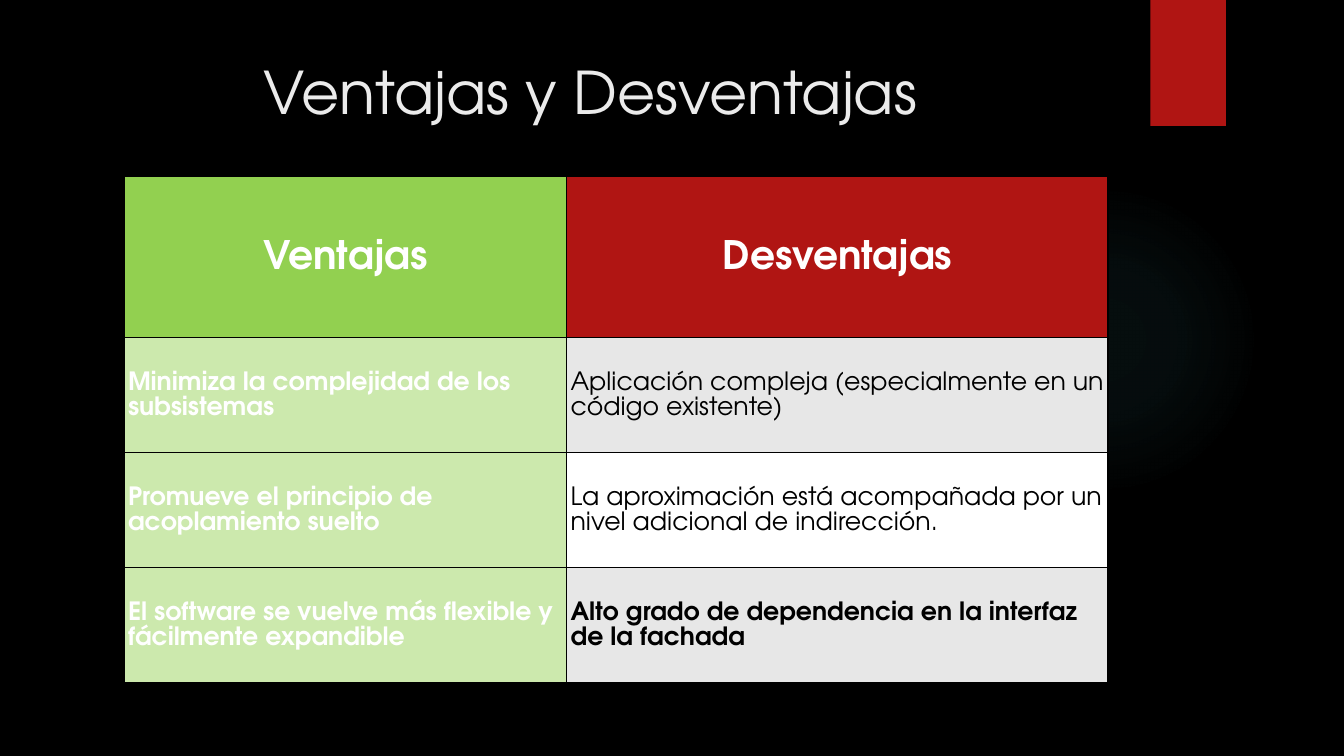
from lxml import etree
from pptx import Presentation
from pptx.dml.color import RGBColor
from pptx.enum.shapes import MSO_SHAPE as Shape
from pptx.enum.text import MSO_ANCHOR as Anchor, PP_ALIGN as Align
from pptx.oxml import parse_xml
from pptx.oxml.ns import nsdecls, qn
from pptx.util import Inches, Pt

BLACK = RGBColor(0x00, 0x00, 0x00)
WHITE = RGBColor(0xFF, 0xFF, 0xFF)
PALE = RGBColor(0xEB, 0xEB, 0xEB)
RED = RGBColor(0xB0, 0x15, 0x13)
GREEN = RGBColor(0x92, 0xD0, 0x50)
LIME = RGBColor(0xCC, 0xE9, 0xAD)
GREY = RGBColor(0xE7, 0xE7, 0xE7)
TEAL = RGBColor(0x50, 0xB9, 0xC1)
FONT = "TeX Gyre Adventor"

HEADS = [("Ventajas", GREEN), ("Desventajas", RED)]
ROWS = [
    ("Minimiza la complejidad de los subsistemas",
     "Aplicación compleja (especialmente en un código existente)"),
    ("Promueve el principio de acoplamiento suelto",
     "La aproximación está acompañada por un nivel adicional de indirección."),
    ("El software se vuelve más flexible y fácilmente expandible",
     "Alto grado de dependencia en la interfaz de la fachada"),
]


def style(para, size, color, bold=False):
    """Format every run of a paragraph."""
    for run in para.runs:
        font = run.font
        font.name, font.size, font.bold = FONT, Pt(size), bold
        font.color.rgb = color


def add_shape(slide, kind, box):
    """Add a preset shape without line or shadow."""
    shape = slide.shapes.add_shape(kind, *map(Inches, box))
    shape.shadow.inherit = False
    shape.line.fill.background()
    return shape


def add_decor(slide, glow, tab):
    """Place the soft round glow and the red tab."""
    halo = add_shape(slide, Shape.OVAL, glow)
    halo.fill.gradient()
    stops = "".join(
        f'<a:gs pos="{pos}000"><a:srgbClr val="{TEAL}">'
        f'<a:alpha val="{alpha}000"/></a:srgbClr></a:gs>'
        for pos, alpha in [(0, 7), (36, 6), (69, 0)])
    grad = parse_xml(
        f'<a:gradFill {nsdecls("a")}><a:gsLst>{stops}</a:gsLst>'
        '<a:path path="circle"><a:fillToRect l="50000" t="50000" '
        'r="50000" b="50000"/></a:path></a:gradFill>')
    props = halo.element.spPr
    props.replace(props.find(qn("a:gradFill")), grad)
    flag = add_shape(slide, Shape.RECTANGLE, tab)
    flag.fill.solid()
    flag.fill.fore_color.rgb = RED


def add_title(slide, box):
    """Place and format the slide title."""
    title = slide.shapes.title
    title.left, title.top, title.width, title.height = map(Inches, box)
    frame = title.text_frame
    frame.text = "Ventajas y Desventajas"
    frame.word_wrap = True
    frame.vertical_anchor = Anchor.TOP
    para = frame.paragraphs[0]
    para.alignment = Align.CENTER
    style(para, 42, PALE)


def add_border(cell):
    """Draw thin black lines on all sides of a cell."""
    props = cell._tc.get_or_add_tcPr()
    for spot, side in enumerate(("lnL", "lnR", "lnT", "lnB")):
        line = etree.Element(qn(f"a:{side}"), w=str(Pt(1)))
        fill = etree.SubElement(line, qn("a:solidFill"))
        etree.SubElement(fill, qn("a:srgbClr"), val=str(BLACK))
        props.insert(spot, line)


def fill_cell(cell, text, back, color, size, bold, pad, align):
    """Write one table cell and set its look."""
    cell.fill.solid()
    cell.fill.fore_color.rgb = back
    cell.vertical_anchor = Anchor.MIDDLE
    cell.margin_left = cell.margin_right = Inches(pad)
    cell.margin_top = cell.margin_bottom = Inches(pad)
    cell.text_frame.text = text
    para = cell.text_frame.paragraphs[0]
    para.alignment = align
    para.line_spacing, para.space_after = 1.07, Pt(12.8)
    style(para, size, color, bold)
    add_border(cell)


def add_grid(slide, box, split=4.39, head=1.6):
    """Build the table of pros and cons inside the box."""
    left, top, width, height = box
    frame = slide.shapes.add_table(len(ROWS) + 1, 2, *map(Inches, box))
    table = frame.table
    table.first_row = table.horz_banding = False
    for col, size in zip(table.columns, (split, width - split)):
        col.width = Inches(size)
    step = (height - head) / len(ROWS)
    for num, row in enumerate(table.rows):
        row.height = Inches(step if num else head)
    for col, (text, back) in enumerate(HEADS):
        fill_cell(table.cell(0, col), text, back, WHITE, 28, True, 0.1, Align.CENTER)
    for num, (pro, con) in enumerate(ROWS, 1):
        fill_cell(table.cell(num, 0), pro, LIME, WHITE, 18, True, 0.04, Align.LEFT)
        fill_cell(table.cell(num, 1), con, GREY if num % 2 else WHITE, BLACK,
                  18, num == len(ROWS), 0.04, Align.LEFT)


def main():
    """Build the slide and save it."""
    deck = Presentation()
    deck.slide_width, deck.slide_height = Inches(13.33), Inches(7.5)
    slide = deck.slides.add_slide(deck.slide_layouts[5])
    back = slide.background.fill
    back.solid()
    back.fore_color.rgb = BLACK
    add_decor(slide, (9.41, 1.83, 3.08, 3.08), (11.41, 0, 0.75, 1.25))
    add_title(slide, (0.71, 0.5, 10.29, 1.53))
    add_grid(slide, (1.23, 1.75, 9.76, 5.02))
    deck.save("out.pptx")


if __name__ == "__main__":
    main()
